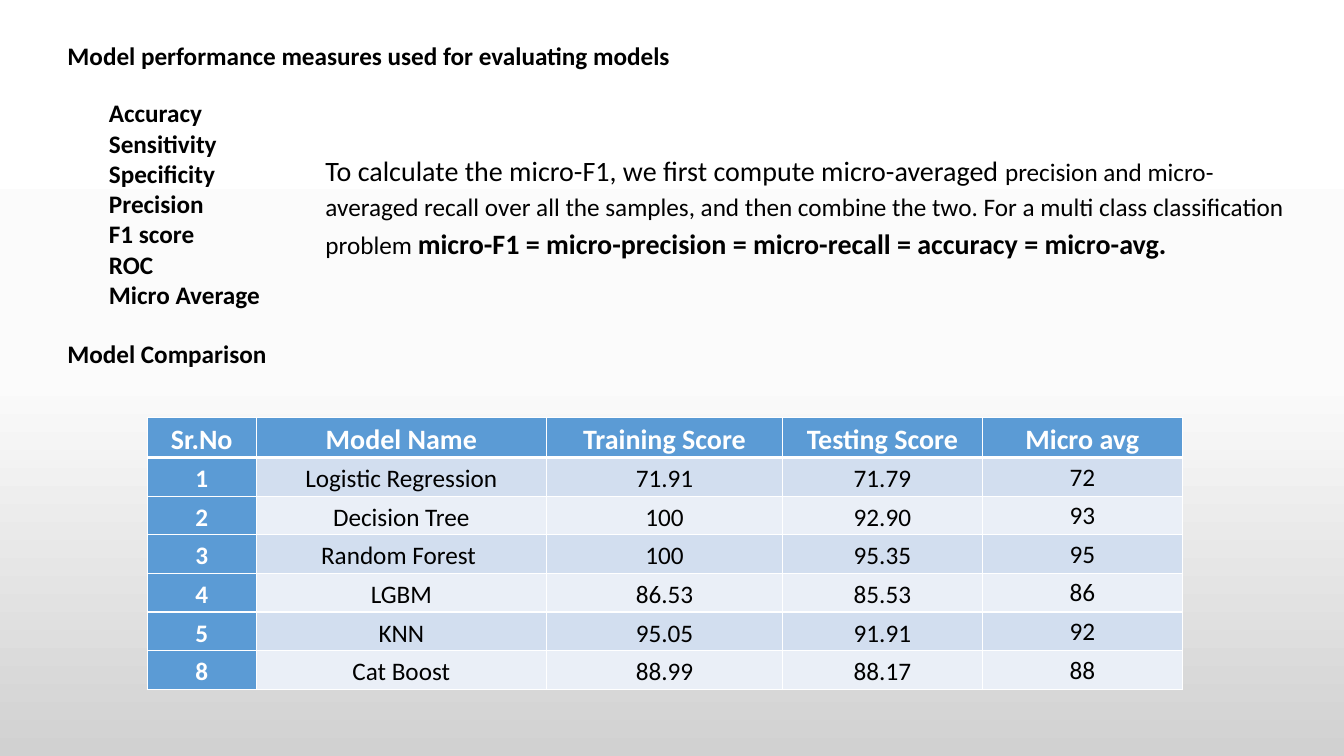
import copy

import pptx
import pptx.dml.color
import pptx.enum.text
import pptx.oxml
import pptx.oxml.ns
import pptx.util
from pptx.util import Pt

RGBColor = pptx.dml.color.RGBColor
BLACK = RGBColor(0x00, 0x00, 0x00)
WHITE = RGBColor(0xFF, 0xFF, 0xFF)
NEAR_WHITE = RGBColor(0xFB, 0xFB, 0xFB)
GREY = RGBColor(0xD1, 0xD1, 0xD1)
BLUE = RGBColor(0x5B, 0x9B, 0xD5)
BAND_COLORS = (RGBColor(0xD2, 0xDE, 0xEF), RGBColor(0xEA, 0xEF, 0xF7))
FONT = "Calibri"

ALIGN = pptx.enum.text.PP_ALIGN
ANCHOR = pptx.enum.text.MSO_ANCHOR
AUTO_SIZE = pptx.enum.text.MSO_AUTO_SIZE

MEASURES = ["Accuracy", "Sensitivity", "Specificity", "Precision",
            "F1 score", "ROC", "Micro Average"]
EXPLANATION = [
    ("To calculate the micro-F1, we first compute micro-averaged ", 20, False),
    ("precision and micro-averaged recall over all the samples, and then combine "
     "the two. For a multi class classification problem ", 18, False),
    ("micro-F1 = micro-precision = micro-recall = accuracy = micro-avg.", 20, True),
]
COLUMN_WIDTHS = [77.8, 207.4, 168.6, 142.8, 142.8]
HEADER_HEIGHT = 28.8
ROW_HEIGHT = 27.6
SCORES = [
    ("Sr.No", "Model Name", "Training Score", "Testing Score", "Micro avg"),
    ("1", "Logistic Regression", "71.91", "71.79", "72"),
    ("2", "Decision Tree", "100", "92.90", "93"),
    ("3", "Random Forest ", "100", "95.35", "95"),
    ("4", "LGBM", "86.53", "85.53", "86"),
    ("5", "KNN", "95.05", "91.91", "92"),
    ("8", "Cat Boost", "88.99", "88.17", "88"),
]


def write_text(paragraph, text, size=18, bold=True, color=BLACK,
               align=ALIGN.LEFT, line_spacing=1.0, space_after=0):
    paragraph.alignment = align
    paragraph.line_spacing = line_spacing
    paragraph.space_before = Pt(0)
    paragraph.space_after = Pt(space_after)
    run = paragraph.add_run()
    run.text = text
    run.font.name = FONT
    run.font.size = Pt(size)
    run.font.bold = bold
    run.font.color.rgb = color


def place_frame(shape, left, top, width, height, wrap=False):
    shape.left, shape.top = Pt(left), Pt(top)
    shape.width, shape.height = Pt(width), Pt(height)
    frame = shape.text_frame
    frame.word_wrap = wrap
    frame.auto_size = AUTO_SIZE.SHAPE_TO_FIT_TEXT
    frame.vertical_anchor = ANCHOR.TOP
    return frame


def add_text_box(slide, left, top, width, height, wrap=False):
    shape = slide.shapes.add_textbox(0, 0, Pt(width), Pt(height))
    return place_frame(shape, left, top, width, height, wrap)


def remove_bullet(paragraph):
    properties = paragraph._p.get_or_add_pPr()
    properties.set("marL", "0")
    properties.set("indent", "0")
    properties.append(pptx.oxml.parse_xml(
        f"<a:buNone {pptx.oxml.ns.nsdecls('a')}/>"))


def set_background(slide):
    fill = slide.background.fill
    fill.gradient()
    fill.gradient_angle = 270
    # The default gradient has two stops; the middle one is added
    stop_list = slide.element.find(".//" + pptx.oxml.ns.qn("a:gsLst"))
    stop_list.insert(1, copy.deepcopy(stop_list[0]))
    for stop, position, color in zip(fill.gradient_stops, (0, 0.5, 1),
                                     (WHITE, NEAR_WHITE, GREY)):
        stop.position = position
        stop.color.rgb = color


def set_borders(cell, **widths):
    properties = cell._tc.get_or_add_tcPr()
    for side in "LRTB":
        width = int(Pt(widths.get(side, 1)))
        properties.append(pptx.oxml.parse_xml(
            f'<a:ln{side} {pptx.oxml.ns.nsdecls("a")} w="{width}"><a:solidFill>'
            f'<a:srgbClr val="{WHITE}"/></a:solidFill></a:ln{side}>'))


def format_cell(cell, text, row, column):
    is_header = row == 0
    is_heading = is_header or column == 0
    is_last_column = column == len(COLUMN_WIDTHS) - 1
    set_borders(cell, T=3 if row == 1 else 1, B=3 if is_header else 1)
    cell.fill.solid()
    cell.fill.fore_color.rgb = BLUE if is_heading else BAND_COLORS[(row - 1) % 2]
    cell.margin_left = cell.margin_right = Pt(5)
    cell.margin_top = cell.margin_bottom = 0
    cell.vertical_anchor = ANCHOR.TOP if is_last_column else ANCHOR.MIDDLE
    write_text(cell.text_frame.paragraphs[0], text, size=20 if is_header else 18,
               bold=is_heading, color=WHITE if is_heading else BLACK,
               align=ALIGN.CENTER, line_spacing=1.15)


def add_score_table(slide, left, top):
    height = HEADER_HEIGHT + ROW_HEIGHT * (len(SCORES) - 1)
    table = slide.shapes.add_table(len(SCORES), len(COLUMN_WIDTHS), Pt(left), Pt(top),
                                   Pt(sum(COLUMN_WIDTHS)), Pt(height)).table
    table.first_col = True
    table.horz_banding = False
    for column, width in zip(table.columns, COLUMN_WIDTHS):
        column.width = Pt(width)
    for row, values in enumerate(SCORES):
        table.rows[row].height = Pt(ROW_HEIGHT if row else HEADER_HEIGHT)
        for column, text in enumerate(values):
            format_cell(table.cell(row, column), text, row, column)


def main():
    presentation = pptx.Presentation()
    presentation.slide_width = Pt(960)
    presentation.slide_height = Pt(540)
    slide = presentation.slides.add_slide(presentation.slide_layouts[1])
    set_background(slide)

    # Heading
    title = place_frame(slide.shapes.title, 41, 25.2, 448.6, 29)
    write_text(title.paragraphs[0], "Model performance measures used for evaluating models")

    # List of measures
    body = place_frame(slide.placeholders[1], 70.6, 66.2, 123, 160)
    for index, measure in enumerate(MEASURES):
        paragraph = body.add_paragraph() if index else body.paragraphs[0]
        write_text(paragraph, measure)
        remove_bullet(paragraph)

    # Explanation of the micro average
    explanation = add_text_box(slide, 225.4, 102.2, 702.8, 87.8, wrap=True)
    for text, size, bold in EXPLANATION:
        write_text(explanation.paragraphs[0], text, size=size, bold=bold,
                   line_spacing=1.15, space_after=10)

    # Model comparison
    comparison = add_text_box(slide, 41, 238.3, 157.7, 29)
    write_text(comparison.paragraphs[0], "Model Comparison")
    add_score_table(slide, 105.2, 298)

    presentation.save("out.pptx")


if __name__ == "__main__":
    main()
